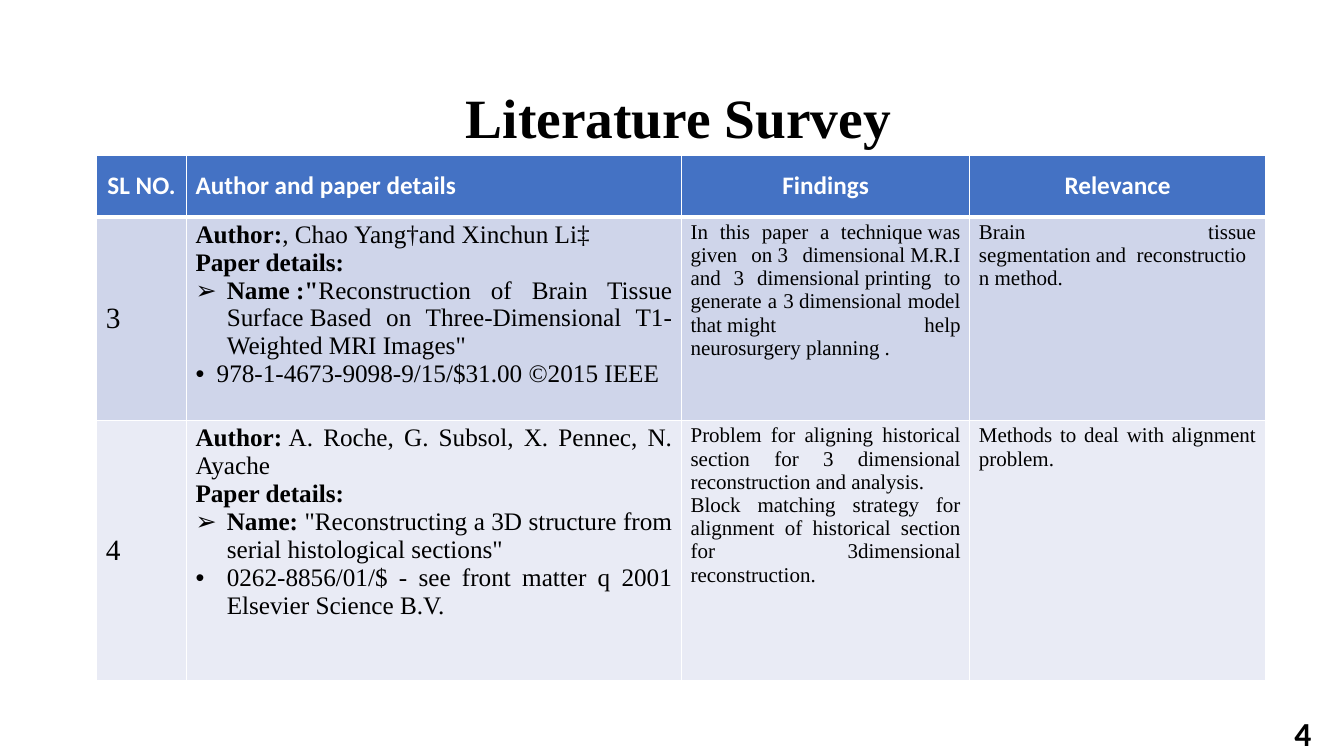
from lxml import etree
from pptx import Presentation
from pptx.dml.color import RGBColor
from pptx.enum.text import MSO_ANCHOR, MSO_AUTO_SIZE, PP_ALIGN
from pptx.oxml.ns import qn
from pptx.util import Inches, Pt

LEFT, CENTER, JUSTIFY = PP_ALIGN.LEFT, PP_ALIGN.CENTER, PP_ALIGN.JUSTIFY
TOP, MIDDLE, BOTTOM = MSO_ANCHOR.TOP, MSO_ANCHOR.MIDDLE, MSO_ANCHOR.BOTTOM
NO_AUTOFIT = MSO_AUTO_SIZE.NONE

COLORS = {"header": "4472C4", "odd": "CFD5EA", "even": "E9EBF5",
          "white": "FFFFFF", "black": "000000"}
SERIF, SANS = "Times New Roman", "Calibri"
NO_BREAK_SPACE = chr(160)  # written as ~ in the table texts

TITLE = "Literature Survey"
PAGE_NUMBER = "4"
HEADERS = [("SL NO.", CENTER), ("Author and paper details", LEFT),
           ("Findings", CENTER), ("Relevance", CENTER)]

# Each paragraph: bold lead, plain text, bullet, hanging indent in inches
PAPERS = [
    {
        "number": "3",
        "details": [
            ("Author:", ", Chao~Yang†and~Xinchun~Li‡", None, 0),
            ("Paper details:", "", None, 0),
            ("Name~:\"", "Reconstruction of Brain Tissue Surface~Based on "
             "Three-Dimensional T1-Weighted MRI~Images\"", "➢", 0.31),
            ("", "978-1-4673-9098-9/15/$31.00 ©2015 IEEE", "•", 0.21),
        ],
        "findings": ["In this paper a technique~was given on~3 dimensional~M.R.I "
                     "and 3 dimensional~printing to generate a 3~dimensional model "
                     "that~might help neurosurgery~planning ."],
        "relevance": ["Brain tissue segmentation~and~~reconstruction method."],
    },
    {
        "number": "4",
        "details": [
            ("Author:~", "A. Roche, G. Subsol, X. Pennec, N. Ayache", None, 0),
            ("Paper details:", "", None, 0),
            ("Name: ", "\"Reconstructing a 3D structure from serial histological "
             "sections\"", "➢", 0.31),
            ("", "0262-8856/01/$ - see front matter q 2001 Elsevier Science B.V.",
             "•", 0.31),
        ],
        "findings": ["Problem for aligning historical section for 3 dimensional "
                     "reconstruction and analysis.",
                     "Block matching strategy for alignment of historical section "
                     "for 3dimensional reconstruction."],
        "relevance": ["Methods to deal with alignment problem."],
    },
]
COLUMN_WIDTHS = [0.89, 4.91, 2.86, 2.93]
ROW_HEIGHTS = [0.61, 2.02, 2.58]


def plain(texts):
    return [("", text, None, 0) for text in texts]


def style_font(font, size, name=SERIF, color="black", bold=False):
    font.size, font.name, font.bold = Pt(size), name, bold
    font.color.rgb = RGBColor.from_string(COLORS[color])


def add_bullet(paragraph, bullet, indent):
    properties = paragraph._p.get_or_add_pPr()
    properties.set("marL", str(Inches(indent)))
    properties.set("indent", str(-Inches(indent)))
    etree.SubElement(properties, qn("a:buFont")).set("typeface", "Arial")
    etree.SubElement(properties, qn("a:buChar")).set("char", bullet)


def add_bottom_border(cell, color, width):
    border = etree.Element(qn("a:lnB"), w=str(Pt(width)))
    fill = etree.SubElement(border, qn("a:solidFill"))
    etree.SubElement(fill, qn("a:srgbClr")).set("val", COLORS[color])
    cell._tc.get_or_add_tcPr().insert(0, border)


def fill_cell(cell, paragraphs, fill, align, anchor, **font_style):
    cell.fill.solid()
    cell.fill.fore_color.rgb = RGBColor.from_string(COLORS[fill])
    cell.vertical_anchor = anchor
    cell.margin_left = cell.margin_right = Inches(0.09)
    cell.margin_top = cell.margin_bottom = Inches(0.04)
    frame = cell.text_frame
    for i, (lead, text, bullet, indent) in enumerate(paragraphs):
        paragraph = frame.paragraphs[0] if i == 0 else frame.add_paragraph()
        paragraph.alignment = align
        if bullet:
            add_bullet(paragraph, bullet, indent)
        style_font(paragraph.font, **font_style)
        if lead:
            run = paragraph.add_run()
            run.text = lead.replace("~", NO_BREAK_SPACE)
            run.font.bold = True
        if text:
            paragraph.add_run().text = text.replace("~", NO_BREAK_SPACE)


def add_title(slide):
    title = slide.shapes.title
    title.left, title.top = Inches(0.98), Inches(0.12)
    title.width, title.height = Inches(11.5), Inches(1.45)
    outline = etree.SubElement(title._element.spPr, qn("a:prstGeom"), prst="ellipse")
    etree.SubElement(outline, qn("a:avLst"))
    frame = title.text_frame
    frame.auto_size = NO_AUTOFIT
    frame.vertical_anchor = BOTTOM
    frame.margin_bottom = Inches(0.08)
    frame.text = TITLE
    paragraph = frame.paragraphs[0]
    paragraph.alignment = CENTER
    paragraph.line_spacing = 0.9
    style_font(paragraph.font, 39.6, bold=True)


def add_survey_table(slide):
    table = slide.shapes.add_table(
        len(ROW_HEIGHTS), len(COLUMN_WIDTHS), Inches(0.96), Inches(1.54),
        Inches(sum(COLUMN_WIDTHS)), Inches(sum(ROW_HEIGHTS))).table
    for column, width in zip(table.columns, COLUMN_WIDTHS):
        column.width = Inches(width)
    for row, height in zip(table.rows, ROW_HEIGHTS):
        row.height = Inches(height)

    for col, (header, align) in enumerate(HEADERS):
        cell = table.cell(0, col)
        fill_cell(cell, plain([header]), "header", align, MIDDLE,
                  size=18, name=SANS, color="white", bold=True)
        add_bottom_border(cell, "white", 3)
    for row, paper in enumerate(PAPERS, start=1):
        columns = [(plain([paper["number"]]), MIDDLE, 21),
                   (paper["details"], TOP, 18),
                   (plain(paper["findings"]), TOP, 15),
                   (plain(paper["relevance"]), TOP, 15)]
        fill = "odd" if row % 2 else "even"
        for col, (paragraphs, anchor, size) in enumerate(columns):
            fill_cell(table.cell(row, col), paragraphs, fill, JUSTIFY, anchor,
                      size=size)


def add_page_number(slide):
    box = slide.shapes.add_textbox(Inches(12.74), Inches(7.02),
                                   Inches(0.5), Inches(0.5))
    box.text_frame.text = PAGE_NUMBER
    style_font(box.text_frame.paragraphs[0].font, 24, SANS, bold=True)


def main():
    deck = Presentation()
    deck.slide_width, deck.slide_height = Inches(13.33), Inches(7.5)
    slide = deck.slides.add_slide(deck.slide_layouts[5])
    add_title(slide)
    add_survey_table(slide)
    add_page_number(slide)
    deck.save("out.pptx")


if __name__ == "__main__":
    main()
